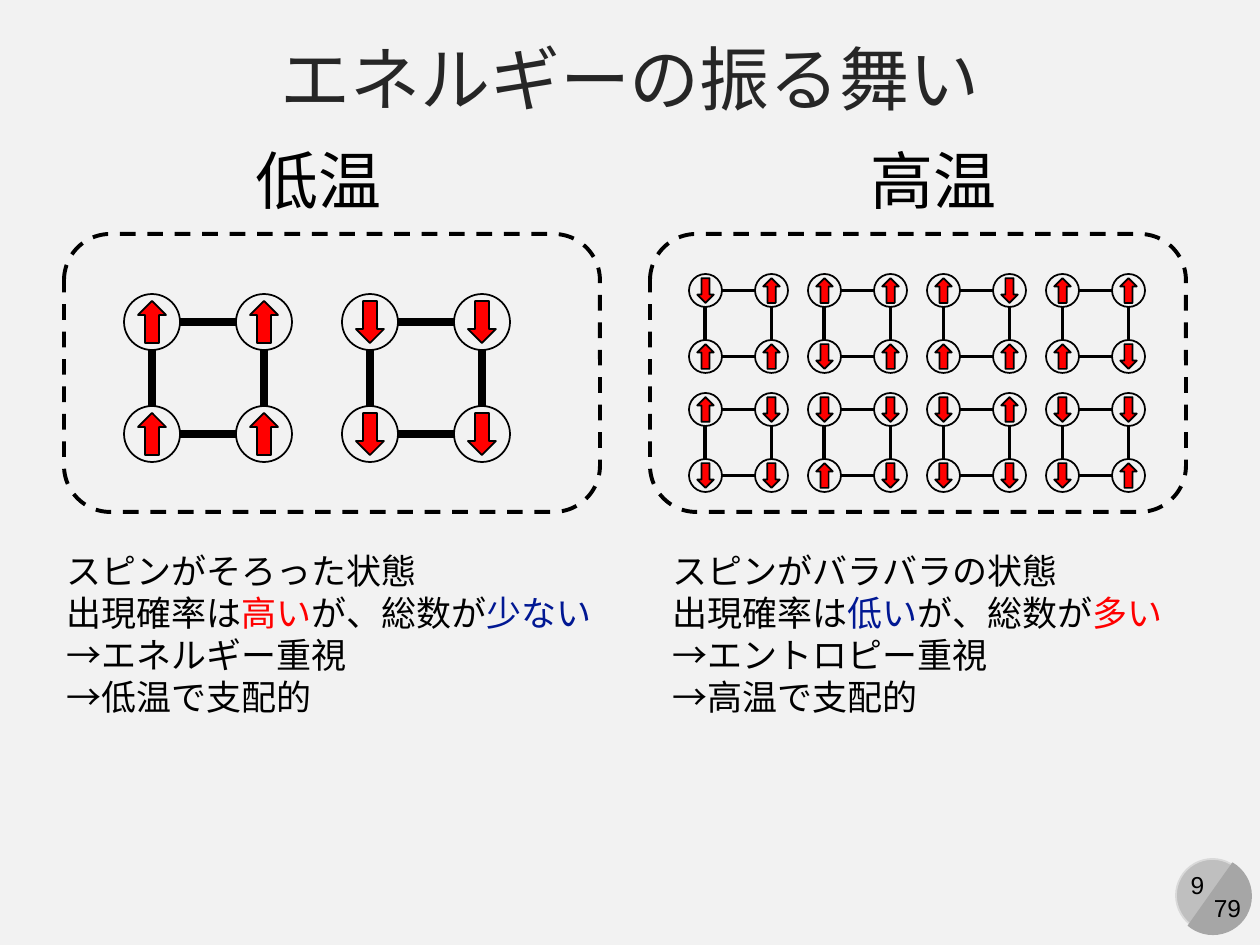
import pptx
import pptx.dml.color
import pptx.enum.dml
import pptx.enum.shapes
import pptx.enum.text
import pptx.oxml.ns
import pptx.util
import lxml.etree

PX = 914400 / 126
SHAPE = pptx.enum.shapes.MSO_SHAPE
ALIGN = pptx.enum.text.PP_ALIGN
BLACK, RED, BLUE = "000000", "FF0000", "011893"

LOW_SPINS = [["↑↑↑↑", "↓↓↓↓"]]
HIGH_SPINS = [
    ["↓↑↑↑", "↑↑↓↑", "↑↓↑↑", "↑↑↑↓"],
    ["↑↓↓↓", "↓↓↑↓", "↓↑↓↓", "↓↓↓↑"],
]
LOW_NOTES = [
    [("スピンがそろった状態", BLACK)],
    [("出現確率は", BLACK), ("高い", RED), ("が、総数が", BLACK), ("少ない", BLUE)],
    [("→エネルギー重視", BLACK)],
    [("→低温で支配的", BLACK)],
]
HIGH_NOTES = [
    [("スピンがバラバラの状態", BLACK)],
    [("出現確率は", BLACK), ("低い", BLUE), ("が、総数が", BLACK), ("多い", RED)],
    [("→エントロピー重視", BLACK)],
    [("→高温で支配的", BLACK)],
]


def emu(px):
    return pptx.util.Emu(round(px * PX))


def color(hex_code):
    return pptx.dml.color.RGBColor.from_string(hex_code)


def add_outline(slide, kind, box, fill=None, line=None, weight=1):
    outline = slide.shapes.add_shape(kind, *map(emu, box))
    outline.shadow.inherit = False
    if fill:
        outline.fill.solid()
        outline.fill.fore_color.rgb = color(fill)
    else:
        outline.fill.background()
    if line:
        outline.line.color.rgb = color(line)
        outline.line.width = pptx.util.Pt(weight)
    else:
        outline.line.fill.background()
    return outline


def add_bond(slide, start, end, weight):
    bond = slide.shapes.add_connector(
        pptx.enum.shapes.MSO_CONNECTOR.STRAIGHT, *map(emu, start + end))
    bond.line.color.rgb = color(BLACK)
    bond.line.width = pptx.util.Pt(weight)
    properties = bond._element.spPr
    lxml.etree.SubElement(properties, pptx.oxml.ns.qn("a:effectLst"))


def add_text(slide, box, paragraphs, size, align=ALIGN.LEFT, wrap=False):
    frame = slide.shapes.add_textbox(*map(emu, box)).text_frame
    frame.word_wrap = wrap
    if wrap:
        frame.vertical_anchor = pptx.enum.text.MSO_ANCHOR.MIDDLE
    else:
        frame.auto_size = pptx.enum.text.MSO_AUTO_SIZE.SHAPE_TO_FIT_TEXT
    for index, parts in enumerate(paragraphs):
        paragraph = frame.paragraphs[0] if index == 0 else frame.add_paragraph()
        paragraph.alignment = align
        for words, hex_code in parts:
            run = paragraph.add_run()
            run.text = words
            run.font.name = "Arial"
            run.font.size = pptx.util.Pt(size)
            run.font.color.rgb = color(hex_code)


def add_lattice(slide, left, top, size, spins, weight):
    node = size / 3
    near, far = node / 2, size - node / 2
    for offset in (near, far):
        add_bond(slide, (left + node, top + offset),
                 (left + 2 * node, top + offset), weight)
        add_bond(slide, (left + offset, top + node),
                 (left + offset, top + 2 * node), weight)
    for index, spin in enumerate(spins):
        row, column = divmod(index, 2)
        x, y = left + column * 2 * node, top + row * 2 * node
        add_outline(slide, SHAPE.OVAL, (x, y, node, node), line=BLACK)
        arrow = add_outline(
            slide, SHAPE.DOWN_ARROW,
            (x + node / 4, y + node / 8, node / 2, node * 3 / 4), RED, BLACK)
        arrow.rotation = 180 if spin == "↑" else 0


def add_temperature_panel(slide, box, heading, heading_x, spin_rows, first,
                          pitch, size, weight, notes, notes_x, notes_width):
    left, top, width, height = box
    add_text(slide, (left + heading_x, top - 99, 152, 89), [[(heading, BLACK)]], 36)
    frame = add_outline(slide, SHAPE.ROUNDED_RECTANGLE, box, line=BLACK, weight=2.25)
    frame.line.dash_style = pptx.enum.dml.MSO_LINE.DASH
    for row, lattices in enumerate(spin_rows):
        for column, spins in enumerate(lattices):
            add_lattice(slide, left + first[0] + column * pitch,
                        top + first[1] + row * pitch, size, spins, weight)
    add_text(slide, (left + notes_x, top + height + 31, notes_width, 183), notes, 20)


def add_page_badge(slide, left, top, page, total):
    add_outline(slide, SHAPE.OVAL, (left + 2, top + 2, 73, 73), "BFBFBF", "D9D9D9")
    shade = add_outline(slide, SHAPE.CHORD, (left, top, 78, 78), "A6A6A6")
    shade.adjustments[0] = 27
    shade.adjustments[1] = 141.42
    shade.rotation = 255
    for number, x, y, width in ((page, -4, 7, 55), (total, 27, 30, 53)):
        add_text(slide, (left + x, top + y, width, 43),
                 [[(number, BLACK)]], 14, ALIGN.CENTER)


def main():
    deck = pptx.Presentation()
    deck.slide_width, deck.slide_height = emu(1260), emu(945)
    slide = deck.slides.add_slide(deck.slide_layouts[6])
    slide.background.fill.solid()
    slide.background.fill.fore_color.rgb = color("F2F2F2")
    add_page_badge(slide, 1174, 857, "9", "79")
    add_text(slide, (0, 26, 1260, 103), [[("エネルギーの振る舞い", "262626")]],
             40, ALIGN.CENTER, wrap=True)
    add_temperature_panel(slide, (64, 234, 536, 278), "低温", 179, LOW_SPINS,
                          (60, 60), 218, 168, 4.5, LOW_NOTES, -10, 556)
    add_temperature_panel(slide, (650, 234, 536, 278), "高温", 208, HIGH_SPINS,
                          (39, 40), 119, 99, 2.25, HIGH_NOTES, 10, 520)
    deck.save("out.pptx")


if __name__ == "__main__":
    main()
